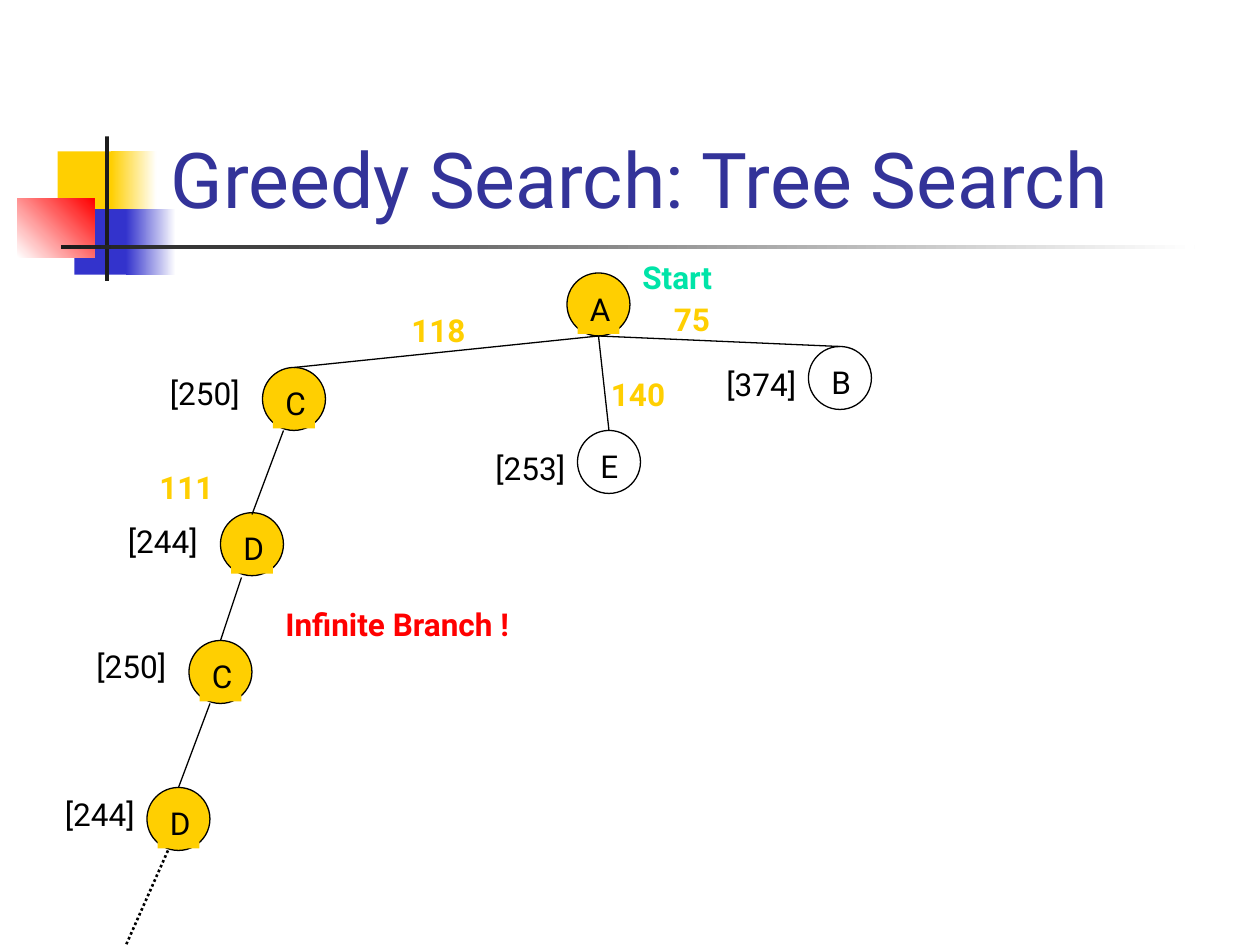
from lxml import etree
from pptx import Presentation
from pptx.dml.color import RGBColor
from pptx.enum.dml import MSO_LINE
from pptx.enum.shapes import MSO_CONNECTOR, MSO_SHAPE
from pptx.enum.text import MSO_ANCHOR
from pptx.oxml.ns import qn
from pptx.util import Pt

RECT = MSO_SHAPE.RECTANGLE
OVAL = MSO_SHAPE.OVAL
STRAIGHT = MSO_CONNECTOR.STRAIGHT
DOTTED = MSO_LINE.ROUND_DOT
BOTTOM = MSO_ANCHOR.BOTTOM

FONT = "Roboto"
COLORS = {
    "gold": "FFCF01", "blue": "3333CC", "red": "FF0000", "dark": "1C1C1C",
    "white": "FFFFFF", "black": "000000", "title": "333399", "green": "00E4A8",
}
C = {name: RGBColor.from_string(value) for name, value in COLORS.items()}

prs = Presentation()
prs.slide_width, prs.slide_height = Pt(720), Pt(540)
s = prs.slides.add_slide(prs.slide_layouts[6])


def add_text(shapes, x, y, w, h, text, color="black", size=18, bold=False):
    sp = shapes.add_textbox(Pt(x), Pt(y), Pt(w), Pt(h))
    tf = sp.text_frame
    tf.word_wrap = True
    r = tf.paragraphs[0].add_run()
    r.text = text
    r.font.name = FONT
    r.font.size = Pt(size)
    r.font.bold = bold
    r.font.color.rgb = C[color]
    return sp


decorations = [
    (33, 86.5, 34.5, 37.5, "gold", None, 0),
    (63.5, 86.5, 26, 37.5, "gold", "white", 0),
    (42.5, 119.5, 33, 37.5, "blue", None, 0),
    (72, 119.5, 28.5, 37.5, "blue", "white", 0),
    (10, 113.5, 44, 33.5, "white", "red", 45),
    (60, 78, 2.25, 82.5, "dark", None, 0),
    (34.75, 140.25, 648, 2.25, "dark", "white", 0),
]
for x, y, w, h, start, end, angle in decorations:
    sp = s.shapes.add_shape(RECT, Pt(x), Pt(y), Pt(w), Pt(h))
    sp.shadow.inherit = False
    sp.line.fill.background()
    if end:
        sp.fill.gradient()
        sp.fill.gradient_angle = angle
        for stop, color in zip(sp.fill.gradient_stops, (start, end)):
            stop.color.rgb = C[color]
    else:
        sp.fill.solid()
        sp.fill.fore_color.rgb = C[start]

title = add_text(s.shapes, 90.5, 16.5, 613.5, 115, "Greedy Search: Tree Search", "title", 44)
title.text_frame.vertical_anchor = BOTTOM

nodes = [
    ("A", 324, 156, True), ("B", 462, 198, False), ("C", 150, 210, True),
    ("E", 330, 246, False), ("D", 126, 293, True), ("C", 108, 366, True),
    ("D", 84, 450, True),
]
for name, x, y, expanded in nodes:
    group = s.shapes.add_group_shape()
    sp = group.shapes.add_shape(OVAL, Pt(x), Pt(y), Pt(36), Pt(36))
    sp.shadow.inherit = False
    sp.line.color.rgb = C["black"]
    sp.line.width = Pt(0.75)
    label = add_text(group.shapes, x + 6, y + 6, 24, 28.8, name)
    for part in (sp, label):
        if expanded:
            part.fill.solid()
            part.fill.fore_color.rgb = C["gold"]
        else:
            part.fill.background()

edges = [
    (342, 192, 480, 198), (342, 192, 348, 246), (342, 192, 168, 210),
    (162, 246, 144, 294), (138, 330, 126, 366), (120, 402, 102, 450),
    (96, 486, 72, 540),
]
for edge in edges:
    line = s.shapes.add_connector(STRAIGHT, *map(Pt, edge))
    line.line.color.rgb = C["black"]
    line.line.width = Pt(0.75)
    etree.SubElement(line._element.spPr, qn("a:effectLst"))
line.line.width = Pt(1.5)
line.line.dash_style = DOTTED

costs = [("75", 378, 168), ("118", 228, 174), ("140", 342, 211), ("111", 84, 264)]
for text, x, y in costs:
    add_text(s.shapes, x, y, 60, 28.8, text, "gold", bold=True)

estimates = [
    ("[374]", 408, 205), ("[250]", 90, 210), ("[253]", 276, 253),
    ("[244]", 66, 295), ("[250]", 48, 366), ("[244]", 30, 451),
]
for text, x, y in estimates:
    add_text(s.shapes, x, y, 66, 28.8, text)

add_text(s.shapes, 360, 144, 96, 28.8, "Start", "green", bold=True)
add_text(s.shapes, 156, 342, 180, 28.8, "Infinite Branch !", "red", bold=True)

prs.save("out.pptx")
